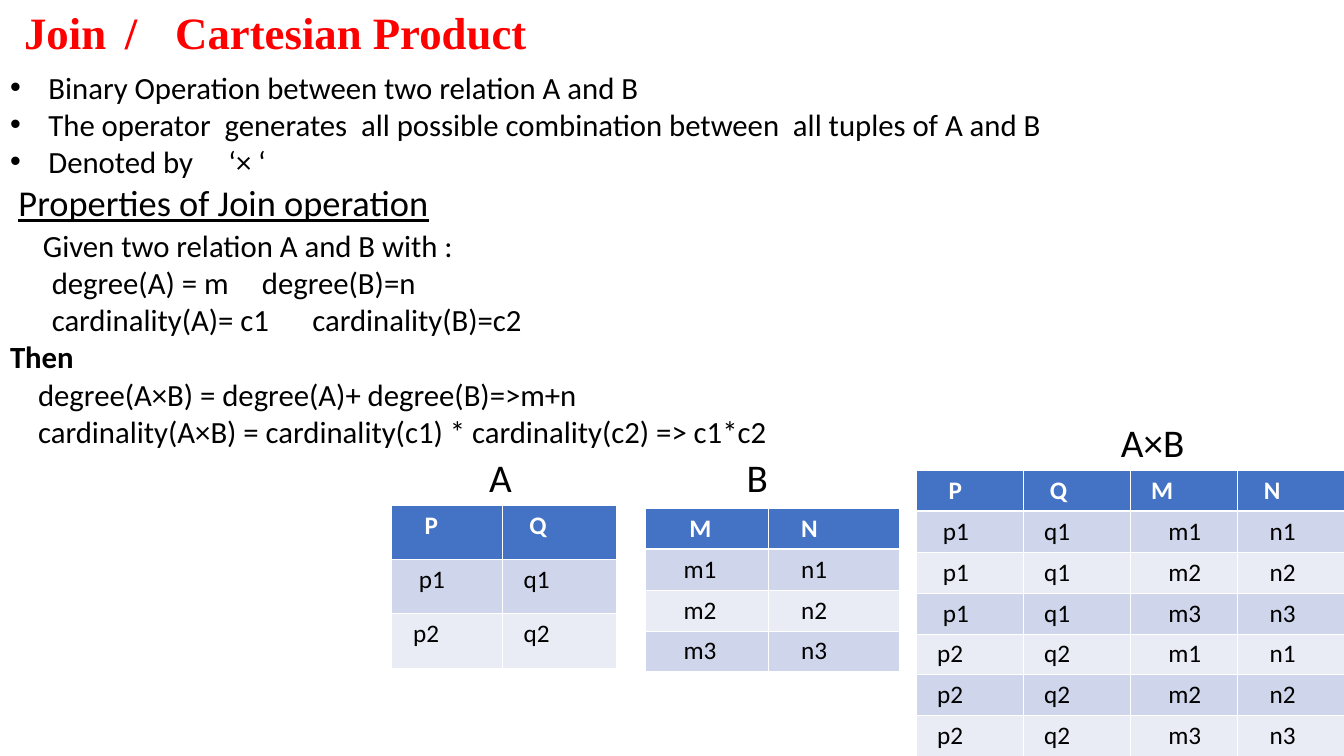
from lxml.etree import SubElement
from pptx import Presentation
from pptx.dml.color import RGBColor
from pptx.enum.text import MSO_ANCHOR, MSO_AUTO_SIZE, PP_ALIGN
from pptx.oxml.ns import qn
from pptx.util import Pt

RED = RGBColor(0xFF, 0x00, 0x00)
BLACK = RGBColor(0x00, 0x00, 0x00)
WHITE = RGBColor(0xFF, 0xFF, 0xFF)
HEADER_BLUE = RGBColor(0x44, 0x72, 0xC4)
BAND_DARK = RGBColor(0xCF, 0xD5, 0xEA)
BAND_LIGHT = RGBColor(0xE9, 0xEB, 0xF5)

HANG = 27.4
BODY = [
    ([("Binary Operation between two relation A and B", {})], {"bullet": True}),
    ([("The operator  generates  all possible combination between  all tuples of A and B", {})],
     {"bullet": True}),
    ([("Denoted by\t‘× ‘", {})], {"bullet": True, "tabs": [156]}),
    ([("Properties of Join operation", {"size": 26, "underline": True})],
     {"lead": 6, "before": 6.5}),
    ([("Given two relation A and B with :", {})], {"lead": 23.5, "before": 7}),
    ([("degree(A) = m\tdegree(B)=n", {})], {"lead": 29.8, "tabs": [210.5]}),
    ([("cardinality(A)= c1\tcardinality(B)=c2", {})], {"lead": 29.8, "tabs": [210.5]}),
    ([("Then", {"bold": True})], {}),
    ([("degree(A×B) = degree(A)+ degree(B)=>m+n", {})], {"lead": 20}),
    ([("cardinality(A×B) = cardinality(c1) * cardinality(c2) => c1*c2", {})], {"lead": 20}),
]

A_ROWS = [("p1", "q1"), ("p2", "q2")]
B_ROWS = [("m1", "n1"), ("m2", "n2"), ("m3", "n3")]
PRODUCT_ROWS = [a + b for a in A_ROWS for b in B_ROWS]
CELL_INDENT = {"p1": 19.4, "p2": 15.3, "q": 15.3, "m": 27.5, "n": 23.5}


def add_run(p, text, size=22, color=BLACK, font="Calibri", bold=False, underline=False):
    """Add one formatted run to a paragraph."""
    r = p.add_run()
    r.text = text
    r.font.name = font
    r.font.size = Pt(size)
    r.font.color.rgb = color
    r.font.bold = bold
    r.font.underline = underline


def set_indent(p, lead=0, bullet=False, tabs=()):
    """Set the first-line lead or hanging bullet, and the tab stops."""
    pPr = p._p.get_or_add_pPr()
    pPr.set("marL", str(Pt(HANG if bullet else 0)))
    pPr.set("indent", str(Pt(-HANG if bullet else lead)))
    if bullet:
        SubElement(pPr, qn("a:buFont"), typeface="Arial")
        SubElement(pPr, qn("a:buChar"), char="•")
    else:
        SubElement(pPr, qn("a:buNone"))
    if tabs:
        tab_list = SubElement(pPr, qn("a:tabLst"))
        for pos in tabs:
            SubElement(tab_list, qn("a:tab"), pos=str(Pt(pos)), algn="l")


def place(sp, left, top, width, height):
    """Position a placeholder and anchor its text at the top."""
    sp.left, sp.top, sp.width, sp.height = Pt(left), Pt(top), Pt(width), Pt(height)
    tf = sp.text_frame
    tf.auto_size = MSO_AUTO_SIZE.NONE
    tf.vertical_anchor = MSO_ANCHOR.TOP
    return tf


def fill_title(sp):
    """Write the slide heading."""
    tf = place(sp, 10, 0, 374, 46)
    tf.word_wrap = False
    p = tf.paragraphs[0]
    set_indent(p, tabs=[83, 108])
    p.alignment = PP_ALIGN.LEFT
    add_run(p, "Join\t/\tCartesian Product", 32, RED, "Times New Roman", bold=True)


def fill_body(sp):
    """Write the definition and the properties of the operation."""
    tf = place(sp, 0, 50.4, 960, 438.5)
    for i, (runs, layout) in enumerate(BODY):
        p = tf.paragraphs[0] if i == 0 else tf.add_paragraph()
        options = dict(layout)
        before = options.pop("before", 5.5)
        set_indent(p, **options)
        p.line_spacing = 0.8
        p.space_before = Pt(before if i else 0)
        for text, style in runs:
            add_run(p, text, **style)


def add_label(slide, text, left, top, width):
    """Add the name above a relation table."""
    sp = slide.shapes.add_textbox(Pt(left), Pt(top), Pt(width), Pt(41))
    sp.text_frame.word_wrap = True
    add_run(sp.text_frame.paragraphs[0], text, 28)


def add_borders(cell, row):
    """Draw white cell borders, thicker under the header row."""
    tcPr = cell._tc.get_or_add_tcPr()
    thick = {0: "lnB", 1: "lnT"}.get(row)
    for side in ("lnL", "lnR", "lnT", "lnB"):
        width = Pt(1.5 if side == thick else 0.5)
        ln = SubElement(tcPr, qn("a:" + side), w=str(width))
        SubElement(SubElement(ln, qn("a:solidFill")), qn("a:srgbClr"), val=str(WHITE))


def add_relation(slide, left, top, widths, row_height, header, rows):
    """Add a banded table whose header is a list of (name, indent) pairs."""
    count = len(rows) + 1
    table = slide.shapes.add_table(count, len(widths), Pt(left), Pt(top),
                                   Pt(sum(widths)), Pt(row_height * count)).table
    for column, width in zip(table.columns, widths):
        column.width = Pt(width)
    body = [[(t, CELL_INDENT.get(t) or CELL_INDENT[t[0]]) for t in row] for row in rows]
    for i, row in enumerate([header] + body):
        table.rows[i].height = Pt(row_height)
        for j, (text, indent) in enumerate(row):
            cell = table.cell(i, j)
            add_borders(cell, i)
            cell.fill.solid()
            cell.fill.fore_color.rgb = (
                HEADER_BLUE if i == 0 else BAND_DARK if i % 2 else BAND_LIGHT)
            cell.margin_left = Pt(indent)
            add_run(cell.text_frame.paragraphs[0], text, 18,
                    BLACK if i else WHITE, bold=i == 0)


def main():
    """Build the slide and save it."""
    prs = Presentation()
    prs.slide_width, prs.slide_height = Pt(960.5), Pt(540)
    slide = prs.slides.add_slide(prs.slide_layouts[1])
    title, body = slide.placeholders
    fill_title(title)
    fill_body(body)
    add_relation(slide, 461, 363, [88, 93.5], 29, [("M", 31.6), ("N", 23.5)], B_ROWS)
    add_relation(slide, 654.5, 336, [76.5] * 4, 29.2,
                 [("P", 23.5), ("Q", 19.4), ("M", 15.3), ("N", 19.4)], PRODUCT_ROWS)
    add_relation(slide, 280, 361, [79, 81.5], 38.7, [("P", 23.5), ("Q", 19.4)], A_ROWS)
    add_label(slide, "A", 342.5, 320.5, 43)
    add_label(slide, "B", 526.5, 320.5, 43)
    add_label(slide, "A×B", 794, 295, 75)
    prs.save("out.pptx")


if __name__ == "__main__":
    main()
